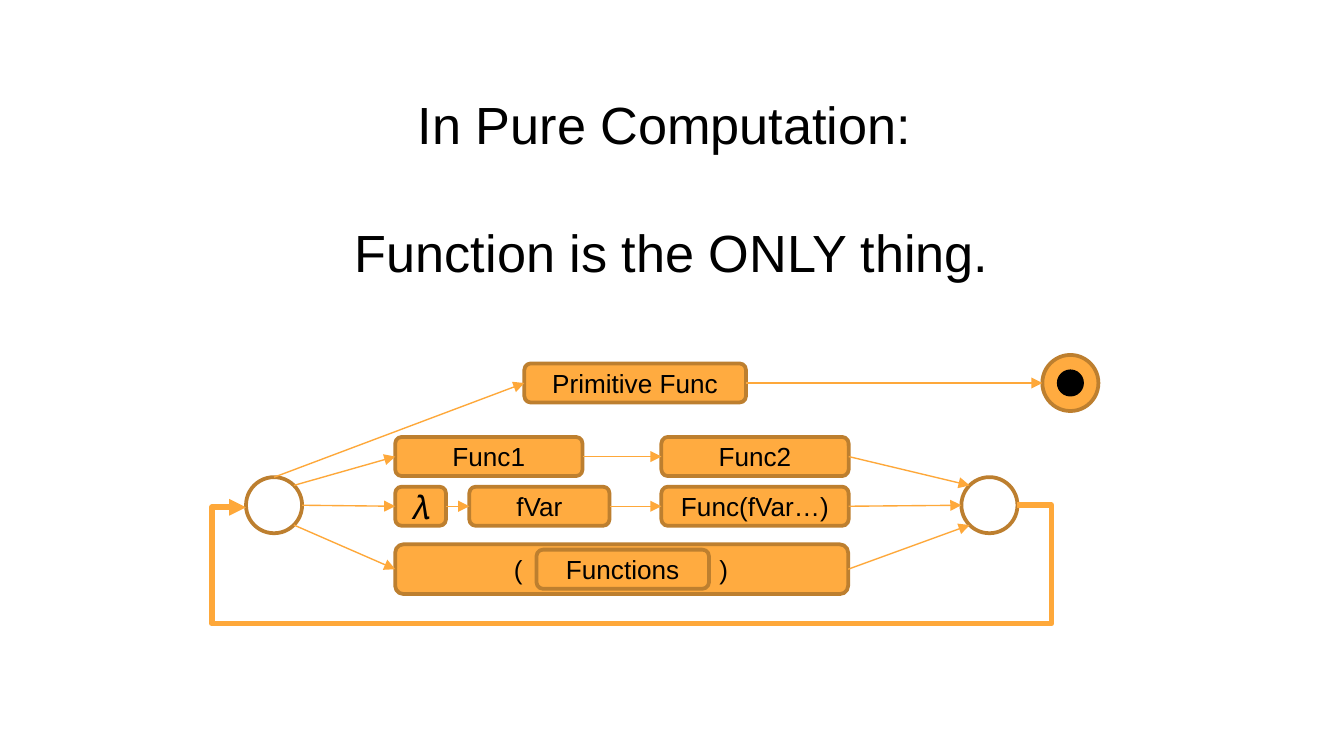
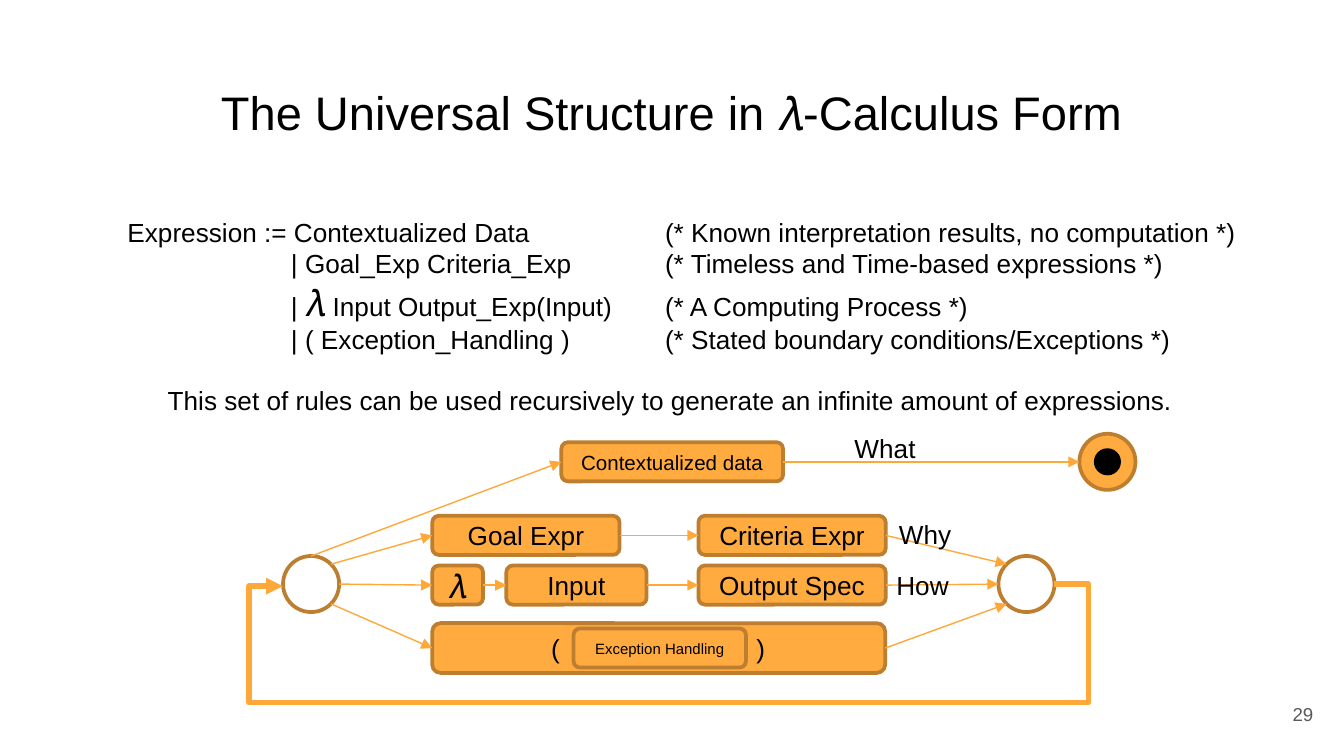
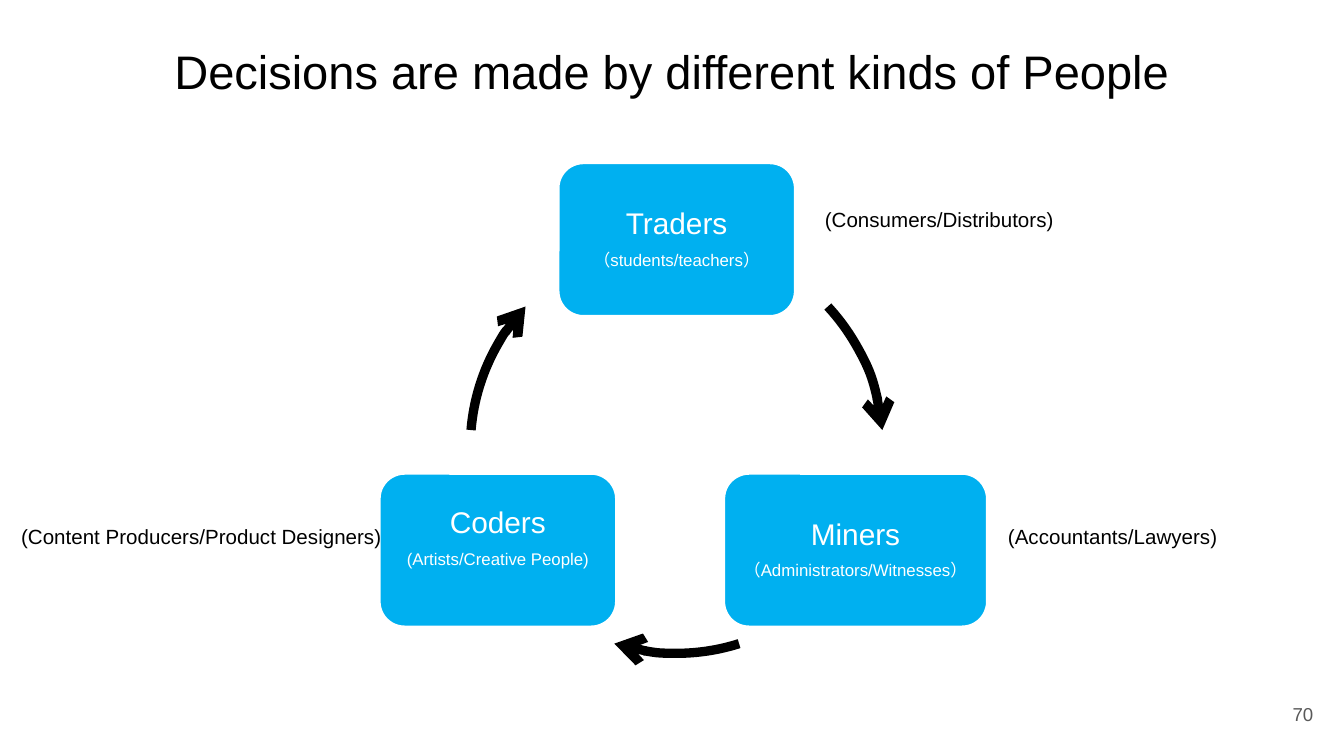
from math import cos, radians, sin

from pptx import Presentation
from pptx.dml.color import RGBColor
from pptx.enum.shapes import MSO_CONNECTOR, MSO_SHAPE
from pptx.enum.text import MSO_ANCHOR, MSO_AUTO_SIZE, PP_ALIGN
from pptx.oxml.ns import qn
from pptx.util import Cm, Pt
from lxml.etree import SubElement

BLACK = RGBColor(0x00, 0x00, 0x00)
WHITE = RGBColor(0xFF, 0xFF, 0xFF)
GRAY = RGBColor(0x59, 0x59, 0x59)
AMBER = RGBColor(0xFF, 0xAB, 0x40)
BROWN = RGBColor(0xBD, 0x7F, 0x2F)
ORANGE = RGBColor(0xFE, 0xA8, 0x3A)
BLUE = RGBColor(0x00, 0xB0, 0xF0)
FONT = "Arial"

PURE = ["In Pure Computation: ", "Function is the ONLY thing."]
FORM = ["The Universal Structure in 𝜆-Calculus Form"]
PEOPLE = ["Decisions are made by different kinds of People"]

NODES = {
    "data": (9.91, 6.87, 4.19, 0.74),
    "goal": (7.47, 8.26, 3.54, 0.74),
    "test": (12.5, 8.26, 3.54, 0.74),
    "lambda": (7.47, 9.2, 0.96, 0.74),
    "var": (8.87, 9.2, 2.65, 0.74),
    "body": (12.5, 9.2, 3.54, 0.74),
    "group": (7.47, 10.29, 8.56, 0.94),
    "inner": (10.14, 10.39, 3.26, 0.74),
}
HUBS = {"start": (5.18, 9.55), "end": (18.7, 9.55), "final": (20.23, 7.24)}
RADIUS, DOT = 0.53, 0.22
LINKS = [
    ("start", 270, "data"), ("start", 315, "goal"),
    ("start", 0, "lambda"), ("start", 45, "group"),
    ("data", 180, "final"), ("test", 225, "end"),
    ("body", 180, "end"), ("group", 135, "end"),
    ("goal", None, "test"), ("lambda", None, "var"), ("var", None, "body"),
]
FUNCS = {
    "data": ("Primitive Func", 14), "goal": ("Func1", 14),
    "test": ("Func2", 14), "lambda": ("𝜆", 18), "var": ("fVar", 14),
    "body": ("Func(fVar…)", 14), "group": ("(\t)", 14),
    "inner": ("Functions", 14),
}
EXPRS = {
    "data": ("Contextualized data", 11), "goal": ("Goal Expr", 14),
    "test": ("Criteria Expr", 14), "lambda": ("𝜆", 18), "var": ("Input", 14),
    "body": ("Output Spec", 14), "group": ("(\t)", 14),
    "inner": ("Exception Handling", 8),
}
SHIFT = (0.7, 1.49)

RULES = [
    [("Expression := Contextualized Data\t"
      "(* Known interpretation results, no computation *)", 14)],
    [("\t| Goal_Exp Criteria_Exp\t"
      "(* Timeless and Time-based expressions *)", 14)],
    [("\t| ", 14), ("𝜆", 20),
     (" Input Output_Exp(Input)\t(* A Computing Process *)", 14)],
    [("\t| ( Exception_Handling )\t"
      "(* Stated boundary conditions/Exceptions *)", 14)],
]
RECUR = ("This set of rules can be used recursively to generate "
         "an infinite amount of expressions.")
ASKS = [("What", 15.9, 8.05, 1.68), ("How", 16.69, 10.64, 1.5),
        ("Why", 16.74, 9.68, 1.5)]

CARDS = [
    ("Traders", "（students/teachers）", 10.54, 3.07, 4.5, 0.18),
    ("Miners", "（Administrators/Witnesses）", 13.67, 8.94, 5.0, 0.18),
    ("Coders", "(Artists/Creative People)", 7.16, 8.94, 4.5, 0.63),
]
ROLES = [("(Accountants/Lawyers)", 18.8, 9.78, 4.5),
         ("(Content Producers/Product Designers)", 0.15, 9.78, 7.37),
         ("(Consumers/Distributors)", 15.34, 3.78, 4.85)]
RING = (8.89, 4.55, 7.8, 7.8)
ARCS = [(317.1, 355.3), (72.4, 107.6), (184.7, 222.9)]


def box(nums):
    return [Cm(num) for num in nums]


def write(par, text, size, color=BLACK):
    run = par.add_run()
    run.text = text
    run.font.name, run.font.size = FONT, Pt(size)
    run.font.color.rgb = color


def inset(frame, left, top, right, low):
    frame.margin_left, frame.margin_top = Cm(left), Cm(top)
    frame.margin_right, frame.margin_bottom = Cm(right), Cm(low)


def tabs(par, *stops):
    props = par._p.get_or_add_pPr()
    group = SubElement(props, qn("a:tabLst"))
    for stop in stops:
        SubElement(group, qn("a:tab"), pos=str(Cm(stop)), algn="l")


def arrow(line, color, width, head):
    line.color.rgb, line.width = color, Pt(width)
    SubElement(line._get_or_add_ln(), qn("a:tailEnd"), type=head)


def shape(slide, kind, place, fill, edge):
    item = slide.shapes.add_shape(kind, *box(place))
    item.shadow.inherit = False
    if fill is None:
        item.fill.background()
    else:
        item.fill.solid()
        item.fill.fore_color.rgb = fill
    item.line.color.rgb, item.line.width = edge, Pt(2)
    return item


def round_box(slide, place, fill, edge):
    item = shape(slide, MSO_SHAPE.ROUNDED_RECTANGLE, place, fill, edge)
    frame = item.text_frame
    frame.word_wrap = True
    frame.vertical_anchor = MSO_ANCHOR.MIDDLE
    return item


def circle(slide, mid, size, fill, edge):
    place = (mid[0] - size, mid[1] - size, 2 * size, 2 * size)
    shape(slide, MSO_SHAPE.OVAL, place, fill, edge)


def wire(slide, kind, start, end, width):
    link = slide.shapes.add_connector(kind, *box(start + end))
    arrow(link.line, ORANGE, width, "triangle")
    SubElement(link._element.spPr, qn("a:effectLst"))
    return link


def label(slide, text, left, top, width, size):
    item = slide.shapes.add_textbox(*box((left, top, width, 0.8)))
    item.text_frame.word_wrap = False
    write(item.text_frame.paragraphs[0], text, size)


def page(deck, lines, place, size, number=None):
    slide = deck.slides.add_slide(deck.slide_layouts[5])
    title = slide.shapes.title
    title.left, title.top, title.width, title.height = box(place)
    frame = title.text_frame
    frame.auto_size = MSO_AUTO_SIZE.NONE
    frame.vertical_anchor = MSO_ANCHOR.TOP
    inset(frame, 0.25, 0.34, 0.25, 0.25)
    for i, text in enumerate(lines):
        par = frame.add_paragraph() if i else frame.paragraphs[0]
        par.alignment = PP_ALIGN.CENTER
        par.space_before = Pt(35 if i else 0)
        write(par, text, size)
    if number:
        foot = slide.shapes.add_textbox(*box((23.55, 12.95, 1.52, 1.09)))
        frame = foot.text_frame
        frame.word_wrap = True
        frame.vertical_anchor = MSO_ANCHOR.MIDDLE
        inset(frame, 0.25, 0.25, 0.25, 0.25)
        frame.paragraphs[0].alignment = PP_ALIGN.RIGHT
        write(frame.paragraphs[0], number, 10, GRAY)
    return slide


def rim(mid, angle):
    turn = radians(angle)
    return mid[0] + RADIUS * cos(turn), mid[1] + RADIUS * sin(turn)


def diagram(slide, words, dx=0, dy=0):
    hubs = {name: (x + dx, y + dy) for name, (x, y) in HUBS.items()}
    for name, mid in hubs.items():
        fill = AMBER if name == "final" else None
        circle(slide, mid, RADIUS, fill, BROWN)
    circle(slide, hubs["final"], DOT, BLACK, BLACK)

    nodes = {}
    for name, (x, y, wide, high) in NODES.items():
        text, size = words[name]
        node = round_box(slide, (x + dx, y + dy, wide, high), AMBER, BROWN)
        par = node.text_frame.paragraphs[0]
        if name == "group":
            inset(node.text_frame, 2.2, 0, 0, 0)
            par.alignment = PP_ALIGN.LEFT
            tabs(par, 3.88)
        else:
            inset(node.text_frame, 0, 0, 0, 0)
            par.alignment = PP_ALIGN.CENTER
        write(par, text, size)
        nodes[name] = node

    for tail, angle, head in LINKS:
        start = rim(hubs[tail], angle) if tail in hubs else (0, 0)
        end = rim(hubs[head], angle) if head in hubs else (0, 0)
        link = wire(slide, MSO_CONNECTOR.STRAIGHT, start, end, 0.75)
        if tail in nodes:
            link.begin_connect(nodes[tail], 3)
        if head in nodes:
            link.end_connect(nodes[head], 1)

    left, right = rim(hubs["start"], 180), rim(hubs["end"], 0)
    loop = wire(slide, MSO_CONNECTOR.ELBOW, right, (left[0], left[1] + 0.04), 3)
    geom = loop._element.spPr.find(qn("a:prstGeom"))
    geom.set("prst", "bentConnector5")
    guides = geom.find(qn("a:avLst"))
    for i, value in enumerate((-4400, 5600000, 104400), 1):
        SubElement(guides, qn("a:gd"), name=f"adj{i}", fmla=f"val {value}")


def grammar(slide):
    label(slide, RECUR, 2.92, 7.14, 19.58, 14)
    area = slide.shapes.add_textbox(*box((2.16, 3.96, 22.53, 2.9)))
    frame = area.text_frame
    frame.word_wrap = True
    for i, runs in enumerate(RULES):
        par = frame.add_paragraph() if i else frame.paragraphs[0]
        tabs(par, 3.09, 10.16)
        for text, size in runs:
            write(par, text, size)


def cycle(slide):
    for name, note, x, y, wide, low in CARDS:
        card = round_box(slide, (x, y, wide, 2.92), BLUE, WHITE)
        frame = card.text_frame
        inset(frame, 0.18, 0.18, 0.18, low)
        for par, text, size in ((frame.paragraphs[0], name, 16),
                                (frame.add_paragraph(), note, 9)):
            par.alignment = PP_ALIGN.CENTER
            par.line_spacing = 0.9
            par.space_after = Pt(size * 0.35)
            write(par, text, size, WHITE)
    for angles in ARCS:
        arc = shape(slide, MSO_SHAPE.ARC, RING, None, BLACK)
        for i, angle in enumerate(angles):
            arc.adjustments[i] = angle * 0.6
        arrow(arc.line, BLACK, 5, "arrow")
    for text, x, y, wide in ROLES:
        label(slide, text, x, y, wide, 11)


def main():
    deck = Presentation()
    deck.slide_width, deck.slide_height = Cm(25.4), Cm(14.29)

    slide = page(deck, PURE, (0.86, 1.4, 23.67, 5.74), 28)
    diagram(slide, FUNCS)

    slide = page(deck, FORM, (0.86, 1.24, 23.67, 1.6), 25.2, "29")
    grammar(slide)
    diagram(slide, EXPRS, *SHIFT)
    for text, x, y, wide in ASKS:
        label(slide, text, x, y, wide, 14)

    slide = page(deck, PEOPLE, (2.21, 0.46, 20.98, 2.62), 25.2, "70")
    cycle(slide)

    deck.save("out.pptx")


if __name__ == "__main__":
    main()
